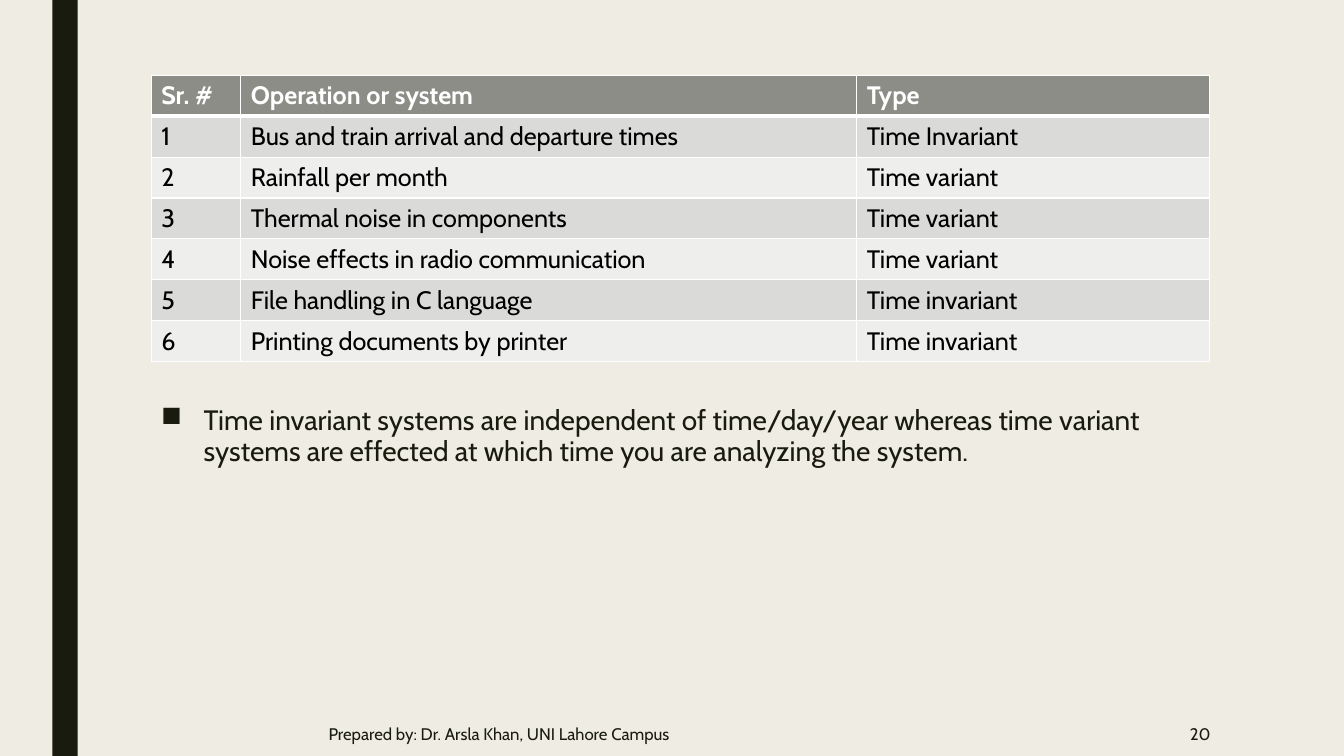
from lxml.etree import SubElement
from pptx import Presentation
from pptx.dml.color import RGBColor
from pptx.enum.shapes import MSO_SHAPE as Shape
from pptx.enum.text import MSO_ANCHOR as Anchor, PP_ALIGN as Align
from pptx.oxml.ns import qn
from pptx.util import Cm, Pt

FONT = "Cabin"
PAPER, INK, WHITE, BLACK = "EFEDE3", "191B0E", "FFFFFF", "000000"
HEADER_FILL, BAND_FILLS = "8C8D86", ("DADBD9", "EEEEED")
COLUMN_WIDTHS = (2.26, 15.52, 8.89)
ROWS = (
    ("Sr. #", "Operation or system", "Type"),
    ("1", "Bus and train arrival and departure times", "Time Invariant"),
    ("2", "Rainfall per month", "Time variant"),
    ("3", "Thermal noise in components", "Time variant"),
    ("4", "Noise effects in radio communication", "Time variant"),
    ("5", "File handling in C language", "Time invariant"),
    ("6", "Printing documents by printer", "Time invariant"),
)
NOTE = ("Time invariant systems are independent of time/day/year whereas time "
        "variant systems are effected at which time you are analyzing the system.")


def rgb(color):
    return RGBColor.from_string(color)


def paint(obj, color):
    obj.fill.solid()
    obj.fill.fore_color.rgb = rgb(color)


def add_run(p, text, size, color, bold=False):
    r = p.add_run()
    r.text = text
    r.font.name, r.font.size, r.font.bold = FONT, Pt(size), bold
    r.font.color.rgb = rgb(color)


def add_text(slide, box, text, size, anchor=Anchor.TOP, align=Align.LEFT):
    tf = slide.shapes.add_textbox(*map(Cm, box)).text_frame
    tf.word_wrap = True
    tf.vertical_anchor = anchor
    p = tf.paragraphs[0]
    p.alignment = align
    add_run(p, text, size, INK)
    return p


def set_borders(cell, bottom):
    # Border lines must come before the fill in the cell properties
    tcPr = cell._tc.get_or_add_tcPr()
    for side, width in (("L", 1), ("R", 1), ("T", 1), ("B", bottom)):
        ln = SubElement(tcPr, qn(f"a:ln{side}"), w=str(Pt(width)))
        fill = SubElement(ln, qn("a:solidFill"))
        SubElement(fill, qn("a:srgbClr"), val=WHITE)


def add_side_bar(slide, box):
    sp = slide.shapes.add_shape(Shape.RECTANGLE, *map(Cm, box))
    sp.shadow.inherit = False
    paint(sp, INK)
    sp.line.fill.background()


def add_systems_table(slide, box):
    frame = slide.shapes.add_table(len(ROWS), len(COLUMN_WIDTHS), *map(Cm, box))
    table = frame.table
    for column, width in zip(table.columns, COLUMN_WIDTHS):
        column.width = Cm(width)
    for i, texts in enumerate(ROWS):
        header = i == 0
        table.rows[i].height = Cm(box[3] / len(ROWS))
        for j, text in enumerate(texts):
            cell = table.cell(i, j)
            set_borders(cell, bottom=3 if header else 1)
            paint(cell, HEADER_FILL if header else BAND_FILLS[(i - 1) % 2])
            add_run(cell.text_frame.paragraphs[0], text, 18,
                    WHITE if header else BLACK, header)


def add_note(slide, box):
    p = add_text(slide, box, NOTE, 20)
    p.line_spacing = 0.94
    p.space_before, p.space_after = Pt(10), Pt(2)
    # Square bullet with a hanging indent
    pPr = p._p.get_or_add_pPr()
    pPr.set("marL", str(Cm(1.07)))
    pPr.set("indent", str(-Cm(1.07)))
    SubElement(pPr, qn("a:buChar"), char="■")


def add_footer(slide, box):
    left, top, width, height = box
    number_width = 4.45
    add_text(slide, (left, top, 17.45, height),
             "Prepared by: Dr. Arsla Khan, UNI Lahore Campus", 12, Anchor.MIDDLE)
    add_text(slide, (left + width - number_width, top, number_width, height),
             "20", 12, Anchor.MIDDLE, Align.RIGHT)


def main():
    prs = Presentation()
    prs.slide_width, prs.slide_height = Cm(33.87), Cm(19.05)
    slide = prs.slides.add_slide(prs.slide_layouts[6])
    paint(slide.background, PAPER)
    add_side_bar(slide, (1.32, 0, 0.64, 19.05))
    add_systems_table(slide, (3.81, 1.9, 26.67, 7.2))
    add_footer(slide, (8.03, 17.93, 22.73, 1.12))
    add_note(slide, (3.81, 10.08, 26.67, 6.86))
    prs.save("out.pptx")


if __name__ == "__main__":
    main()
